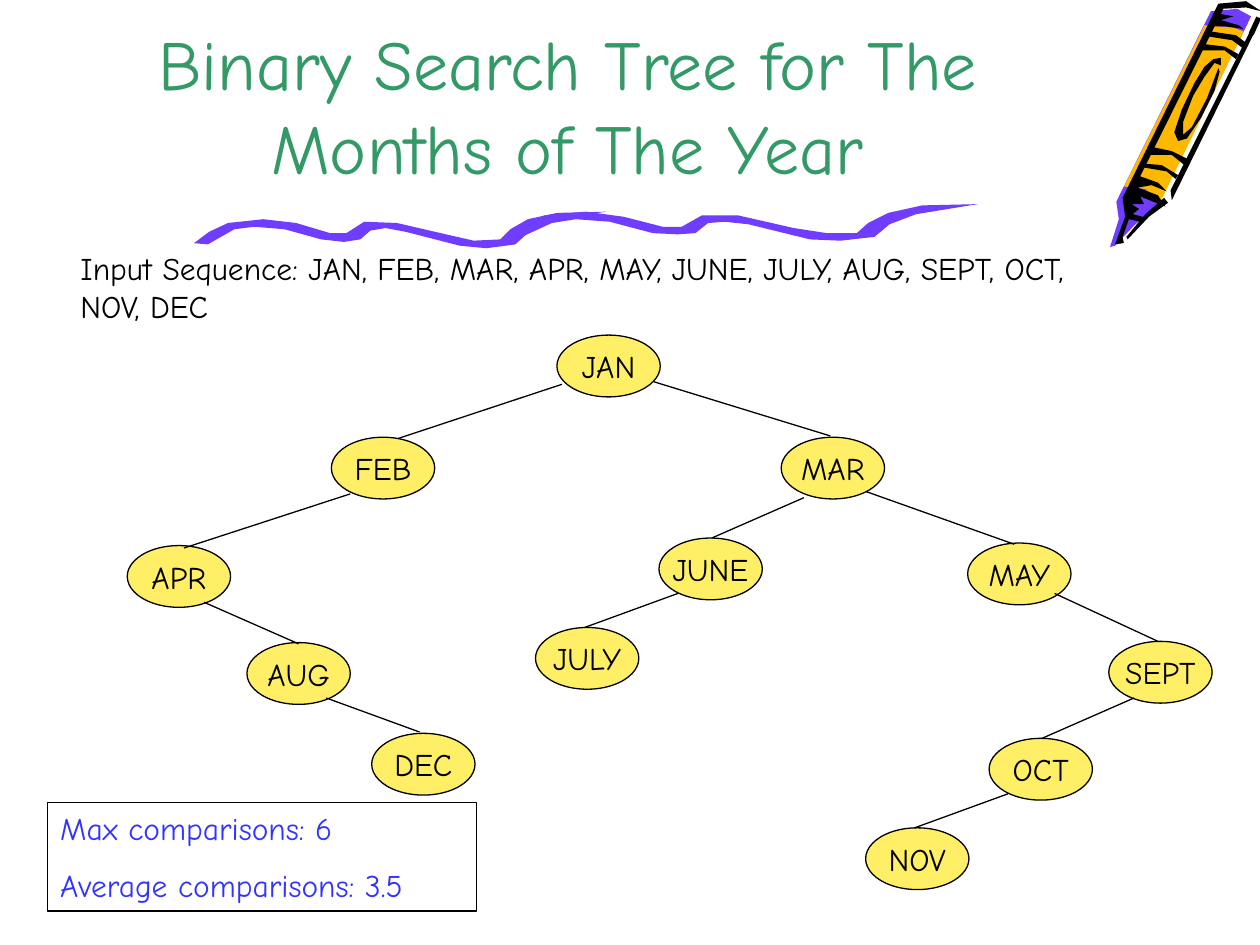
from lxml import etree
from pptx import Presentation
from pptx import util as u
from pptx.dml.color import RGBColor
from pptx.enum import shapes, text
from pptx.oxml.ns import qn

FONT = "Comic Neue"
BLACK, GREEN, BLUE = "000000", "339966", "3333FF"
YELLOW, PURPLE, ORANGE = "FFEF66", "703DFF", "FFB800"
NODE_WIDTH, NODE_HEIGHT = 0.82, 0.49

CRAYON = [
    (PURPLE, [(9.93, 0.13), (9.17, 1.66), (9.01, 1.78), (8.85, 1.95), (8.81, 1.96), (8.88, 1.74),
              (8.86, 1.6), (9.61, 0.09), (9.82, 0.07)]),
    (ORANGE, [(9.21, 1.6), (9.09, 1.5), (8.92, 1.48), (9.56, 0.2), (9.79, 0.22), (9.87, 0.25)]),
    (BLACK, [(9.27, 1.61), (9.12, 1.72), (8.95, 1.9), (8.94, 1.88), (9.09, 1.7), (9.24, 1.57)]),
    (BLACK, [(9.87, 0.23), (9.73, 0.21), (9.61, 0.21), (9.68, 0.11), (9.79, 0.13), (9.69, 0.16),
             (9.83, 0.2)]),
    (BLACK, [(9.68, 0.57), (9.64, 0.72), (9.53, 0.94), (9.42, 1.1), (9.35, 1.12), (9.32, 1.05),
             (9.38, 0.87), (9.48, 0.66), (9.56, 0.53), (9.63, 0.47), (9.69, 0.46), (9.69, 0.52),
             (9.64, 0.5), (9.56, 0.61), (9.47, 0.76), (9.39, 0.97), (9.39, 1.07), (9.46, 1.01),
             (9.58, 0.78), (9.67, 0.54)]),
    (BLACK, [(9.97, 0.23), (9.3, 1.59), (9.29, 1.51), (9.93, 0.23)]),
    (BLACK, [(9.25, 1.64), (9.19, 1.55), (9.03, 1.49), (9.14, 1.47), (9.26, 1.52), (9.19, 1.45),
             (9.05, 1.4), (9.71, 0.07), (9.89, 0.06), (10.01, 0.09), (9.89, 0.01), (9.67, 0.03),
             (8.91, 1.57), (8.93, 1.72), (8.85, 1.94), (8.92, 1.93), (8.91, 1.88), (8.96, 1.74),
             (9.05, 1.76), (9.1, 1.73), (8.99, 1.7), (9.04, 1.66), (8.98, 1.62), (9.08, 1.62),
             (9.05, 1.56)]),
    (BLACK, [(9.33, 1.42), (9.26, 1.36), (9.08, 1.33), (9.09, 1.3), (9.22, 1.31), (9.35, 1.39)]),
    (BLACK, [(9.4, 1.31), (9.3, 1.23), (9.13, 1.23), (9.16, 1.17), (9.3, 1.2), (9.42, 1.26)]),
    (BLACK, [(9.81, 0.47), (9.72, 0.4), (9.53, 0.4), (9.56, 0.35), (9.72, 0.37), (9.83, 0.43)]),
    (BLACK, [(9.86, 0.38), (9.78, 0.32), (9.59, 0.29), (9.61, 0.25), (9.81, 0.28), (9.89, 0.34)]),
]
SQUIGGLES = [
    (PURPLE, [(1.65, 1.94), (1.86, 1.82), (2.02, 1.8), (2.26, 1.82), (2.55, 1.9), (2.73, 1.92),
              (2.86, 1.9), (2.94, 1.83), (3.06, 1.81), (3.22, 1.84), (3.65, 1.95), (3.86, 1.97),
              (4.09, 1.94), (4.2, 1.84), (4.38, 1.75), (4.81, 1.68), (4.42, 1.69), (4.19, 1.74),
              (4.05, 1.82), (3.97, 1.9), (3.76, 1.91), (3.54, 1.86), (3.15, 1.77), (2.89, 1.76),
              (2.75, 1.85), (2.62, 1.85), (2.35, 1.77), (2.09, 1.74), (1.81, 1.77), (1.66, 1.84),
              (1.54, 1.93)]),
    (PURPLE, [(4.14, 1.88), (4.38, 1.77), (4.57, 1.74), (4.84, 1.76), (5.18, 1.85), (5.38, 1.86),
              (5.52, 1.85), (5.62, 1.77), (5.75, 1.76), (5.94, 1.78), (6.43, 1.9), (6.67, 1.91),
              (6.94, 1.88), (7.06, 1.78), (7.27, 1.7), (7.76, 1.62), (7.32, 1.63), (7.05, 1.69),
              (6.89, 1.77), (6.8, 1.85), (6.56, 1.85), (6.3, 1.81), (5.86, 1.71), (5.57, 1.71),
              (5.41, 1.8), (5.26, 1.8), (4.95, 1.72), (4.65, 1.68), (4.32, 1.71), (4.15, 1.78),
              (4.01, 1.88)]),
]
NODES = {
    "JAN": (4.42, 2.66), "FEB": (2.63, 3.47), "MAR": (6.2, 3.47), "APR": (1.01, 4.33),
    "JUNE": (5.23, 4.27), "MAY": (7.68, 4.31), "AUG": (1.96, 5.1), "JULY": (4.25, 4.98),
    "SEPT": (8.8, 5.09), "DEC": (2.95, 5.82), "OCT": (7.85, 5.86), "NOV": (6.87, 6.57),
}
EDGES = [
    ((4.46, 3.05), (3.16, 3.48)), ((5.19, 3.03), (6.59, 3.46)), ((2.78, 3.92), (1.46, 4.35)),
    ((6.38, 3.95), (5.65, 4.27)), ((6.87, 3.9), (8.05, 4.32)), ((1.62, 4.78), (2.37, 5.11)),
    ((5.38, 4.71), (4.64, 4.98)), ((8.37, 4.71), (9.19, 5.09)), ((2.59, 5.54), (3.33, 5.81)),
    ((9, 5.54), (8.27, 5.86)), ((8, 6.3), (7.26, 6.57)),
]


def color(value):
    return RGBColor.from_string(value)


class SlideBuilder:
    """Hold the text style and the slide, and add each kind of element."""

    def __init__(self, slide, font=FONT, size=18):
        self.slide, self.font, self.size = slide, font, size

    def set_text(self, shape, lines, ink, size=None, align=text.PP_ALIGN.LEFT, space=0):
        frame = shape.text_frame
        frame.text = "\n".join(lines)
        for paragraph in frame.paragraphs:
            paragraph.alignment = align
            paragraph.space_before = u.Pt(space)
            paragraph.font.name = self.font
            paragraph.font.size = u.Pt(size or self.size)
            paragraph.font.color.rgb = color(ink)
        return frame

    def title(self, words, left, top, width, height):
        shape = self.slide.shapes.title
        shape.left, shape.top = u.Inches(left), u.Inches(top)
        shape.width, shape.height = u.Inches(width), u.Inches(height)
        frame = self.set_text(shape, [words], GREEN, 40, text.PP_ALIGN.CENTER)
        frame.vertical_anchor = text.MSO_ANCHOR.BOTTOM
        frame.auto_size = text.MSO_AUTO_SIZE.NONE

    def outline(self, fill, points):
        corners = [(u.Inches(x), u.Inches(y)) for x, y in points]
        builder = self.slide.shapes.build_freeform(*corners[0])
        builder.add_line_segments(corners[1:], close=True)
        shape = builder.convert_to_shape()
        shape.shadow.inherit = False
        shape.fill.solid()
        shape.fill.fore_color.rgb = color(fill)
        shape.line.fill.background()

    def line(self, start, end, width=0.75):
        ends = [u.Inches(value) for value in (*start, *end)]
        connector = self.slide.shapes.add_connector(shapes.MSO_CONNECTOR.STRAIGHT, *ends)
        connector.line.color.rgb = color(BLACK)
        connector.line.width = u.Pt(width)
        etree.SubElement(connector._element.spPr, qn("a:effectLst"))

    def node(self, label, left, top):
        shape = self.slide.shapes.add_shape(
            shapes.MSO_SHAPE.OVAL, u.Inches(left), u.Inches(top),
            u.Inches(NODE_WIDTH), u.Inches(NODE_HEIGHT))
        shape.shadow.inherit = False
        shape.fill.solid()
        shape.fill.fore_color.rgb = color(YELLOW)
        shape.line.color.rgb = color(BLACK)
        shape.line.width = u.Pt(0.75)
        frame = self.set_text(shape, [label], BLACK, align=text.PP_ALIGN.CENTER)
        frame.vertical_anchor = text.MSO_ANCHOR.MIDDLE
        frame.word_wrap = False

    def text_box(self, lines, ink, left, top, width, height, border=False):
        shape = self.slide.shapes.add_textbox(
            u.Inches(left), u.Inches(top), u.Inches(width), u.Inches(height))
        self.set_text(shape, lines, ink, space=11.2).word_wrap = True
        if border:
            shape.line.color.rgb = color(BLACK)
            shape.line.width = u.Pt(0.75)


def main():
    presentation = Presentation()
    presentation.slide_width, presentation.slide_height = u.Inches(10), u.Inches(7.5)
    builder = SlideBuilder(presentation.slides.add_slide(presentation.slide_layouts[5]))
    for fill, points in CRAYON + SQUIGGLES:
        builder.outline(fill, points)
    builder.line((9.99, 0.14), (9.93, 0.27), width=3)
    builder.title("Binary Search Tree for The Months of The Year", 0.75, 0, 7.51, 1.55)
    for label, (left, top) in NODES.items():
        builder.node(label, left, top)
    for start, end in EDGES:
        builder.line(start, end)
    builder.text_box(["Input Sequence: JAN, FEB, MAR, APR, MAY, JUNE, JULY, AUG, SEPT, OCT, NOV, DEC"],
                     BLACK, 0.54, 1.93, 8.21, 0.7)
    builder.text_box(["Max comparisons: 6", "Average comparisons: 3.5"],
                     BLUE, 0.38, 6.37, 3.4, 0.86, border=True)
    presentation.save("out.pptx")


if __name__ == "__main__":
    main()
